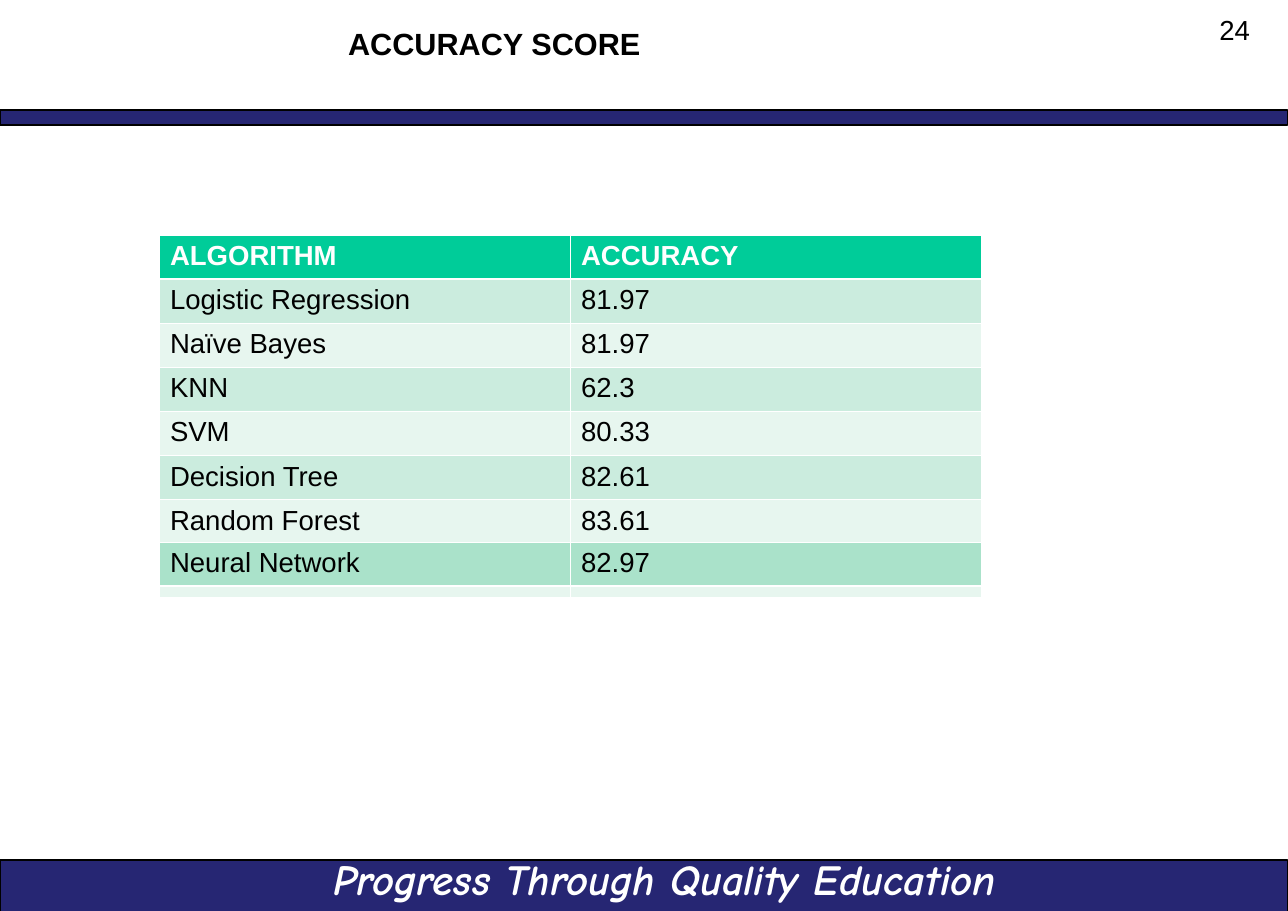
from lxml import etree
from pptx import Presentation
from pptx import util as u
from pptx.dml.color import RGBColor
from pptx.enum import shapes, text
from pptx.oxml import ns

PX = 8298
BLACK = RGBColor(0x00, 0x00, 0x00)
WHITE = RGBColor(0xFF, 0xFF, 0xFF)
NAVY = RGBColor(0x26, 0x26, 0x73)
GREEN = RGBColor(0x00, 0xCC, 0x99)
MINT = RGBColor(0xAA, 0xE2, 0xCA)
BANDS = (RGBColor(0xE7, 0xF6, 0xEF), RGBColor(0xCB, 0xEC, 0xDE))

SCORES = [
    ("ALGORITHM", "ACCURACY"),
    ("Logistic Regression", "81.97"),
    ("Naïve Bayes", "81.97"),
    ("KNN", "62.3"),
    ("SVM", "80.33"),
    ("Decision Tree", "82.61"),
    ("Random Forest", "83.61"),
]
NETWORK_SCORE = [("Neural Network", "82.97")]


def write(tf, value, size=18, font="Arial", color=BLACK, bold=False,
          italic=False, align=text.PP_ALIGN.LEFT, spacing=None):
    p = tf.paragraphs[0]
    p.alignment = align
    p.line_spacing = spacing
    r = p.add_run()
    r.text = value
    r.font.size = u.Pt(size)
    r.font.name = font
    r.font.color.rgb = color
    r.font.bold = bold
    r.font.italic = italic


class Deck:
    thin = 0.45
    thick = 1.47

    def __init__(self, width, height):
        self.prs = Presentation()
        self.prs.slide_width = width * PX
        self.prs.slide_height = height * PX
        self.s = self.prs.slides.add_slide(self.prs.slide_layouts[6])

    def box(self, *lengths):
        return [n * PX for n in lengths]

    def bar(self, x, y, w, h):
        sp = self.s.shapes.add_shape(
            shapes.MSO_SHAPE.RECTANGLE, *self.box(x, y, w, h))
        sp.shadow.inherit = False
        sp.fill.solid()
        sp.fill.fore_color.rgb = NAVY
        sp.line.color.rgb = BLACK
        sp.line.width = u.Pt(0.75)

    def label(self, x, y, w, h, value, right=12,
              anchor=text.MSO_ANCHOR.TOP, **style):
        tf = self.s.shapes.add_textbox(*self.box(x, y, w, h)).text_frame
        tf.word_wrap = True
        tf.vertical_anchor = anchor
        tf.margin_left, tf.margin_right = self.box(12, right)
        tf.margin_top, tf.margin_bottom = self.box(7, 7)
        write(tf, value, **style)

    def border(self, cell, top, bottom):
        tc_pr = cell._tc.get_or_add_tcPr()
        widths = {"lnL": self.thin, "lnR": self.thin, "lnT": top, "lnB": bottom}
        for side, width in widths.items():
            ln = etree.SubElement(tc_pr, ns.qn(f"a:{side}"), w=str(u.Pt(width)))
            fill = etree.SubElement(ln, ns.qn("a:solidFill"))
            etree.SubElement(fill, ns.qn("a:srgbClr"), val=str(WHITE))

    def table(self, x, y, w, rows, heights, fills, thick_row):
        shape = self.s.shapes.add_table(
            len(rows), len(rows[0]), *self.box(x, y, w, sum(heights)))
        table = shape.table
        table.first_row = False
        table.horz_banding = False
        for i, (row, height, fill) in enumerate(zip(rows, heights, fills)):
            table.rows[i].height = height * PX
            header = fill == GREEN
            for j, value in enumerate(row):
                cell = table.cell(i, j)
                self.border(cell,
                            self.thick if i == thick_row + 1 else self.thin,
                            self.thick if i == thick_row else self.thin)
                cell.fill.solid()
                cell.fill.fore_color.rgb = fill
                write(cell.text_frame, value, bold=header,
                      color=WHITE if header else BLACK)


def main():
    deck = Deck(1288, 911)
    deck.bar(0, 860, 1288, 56)
    deck.bar(0, 110, 1288, 15)
    deck.label(265, 846, 799, 65, "Progress Through Quality Education",
               size=28, font="Comic Neue", color=WHITE, bold=True, italic=True,
               align=text.PP_ALIGN.CENTER, anchor=text.MSO_ANCHOR.MIDDLE)
    deck.label(336, 21, 767, 71, "ACCURACY SCORE", size=20, bold=True,
               spacing=0.93)
    fills = [GREEN] + [BANDS[i % 2] for i in range(1, len(SCORES))]
    deck.table(159, 235, 822, SCORES, [44] * 6 + [98], fills, thick_row=0)
    deck.label(963, 9, 316, 36, "24", right=29, spacing=0.93,
               align=text.PP_ALIGN.RIGHT)
    deck.table(159, 542, 822, NETWORK_SCORE, [44], [MINT], thick_row=0)
    deck.prs.save("out.pptx")


if __name__ == "__main__":
    main()
